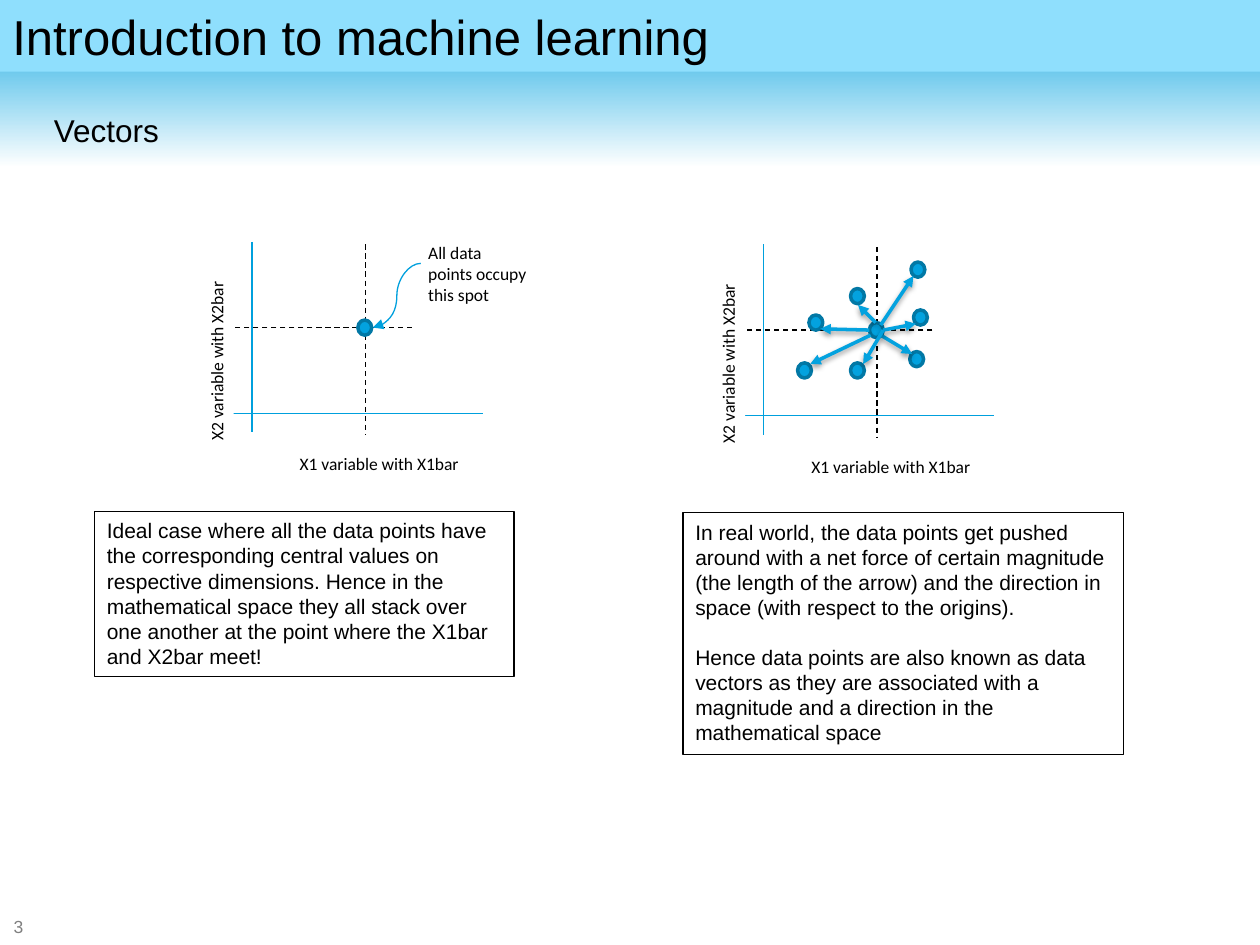
from lxml import etree
from pptx import Presentation
from pptx.dml.color import RGBColor
from pptx.enum.dml import MSO_LINE as Dash
from pptx.enum.shapes import MSO_CONNECTOR as Link, MSO_SHAPE as Shape
from pptx.enum.text import MSO_ANCHOR as Anchor, PP_ALIGN as Align
from pptx.oxml.ns import qn
from pptx.util import Inches, Pt

BLACK = RGBColor(0x00, 0x00, 0x00)
WHITE = RGBColor(0xFF, 0xFF, 0xFF)
GRAY = RGBColor(0x80, 0x80, 0x80)
SKY = RGBColor(0x8F, 0xDF, 0xFD)
BLUE = RGBColor(0x03, 0xA2, 0xDF)
AXIS = RGBColor(0x00, 0xA0, 0xDD)
NAVY = RGBColor(0x02, 0x78, 0xA5)

STEP = (4.06, 0.02)  # from the left plot to the right one
DOTS = [(7.22, 2.79), (7.23, 2.08), (7.25, 2.46), (6.75, 2.29),
        (6.42, 2.5), (6.75, 2.88), (6.33, 2.88)]
FORCES = [((6.99, 2.58), (7.25, 2.19)), ((6.99, 2.66), (7.24, 2.81)),
          ((7.01, 2.62), (7.27, 2.57)), ((6.95, 2.56), (6.81, 2.42)),
          ((6.9, 2.62), (6.51, 2.61)), ((6.91, 2.66), (6.43, 2.89)),
          ((7.01, 2.62), (6.85, 2.89))]
IDEAL = ("Ideal case where all the data points have the corresponding central "
         "values on respective dimensions. Hence in the mathematical space they "
         "all stack over one another at the point where the X1bar and X2bar meet!")
REAL = ("In real world, the data points get pushed around with a net force of "
        "certain magnitude (the length of the arrow) and the direction in space "
        "(with respect to the origins).")
NAMED = ("Hence data points are also known as data vectors as they are "
         "associated with a magnitude and a direction in the mathematical space")


def add_block(slide, kind, box, fill=None, line=None, width=0.75):
    block = slide.shapes.add_shape(kind, *map(Inches, box))
    block.shadow.inherit = False
    if fill is None:
        block.fill.background()
    else:
        block.fill.solid()
        block.fill.fore_color.rgb = fill
    if line is None:
        block.line.fill.background()
    else:
        block.line.color.rgb = line
        block.line.width = Pt(width)
    return block


def add_text(slide, box, *paras, size=12, font="Arial", color=BLACK, fill=None,
             line=None, turn=0, anchor=Anchor.TOP, gap=0):
    """Add a box with one paragraph per text, gap points apart."""
    if fill is None and line is None:
        block = slide.shapes.add_textbox(*map(Inches, box))
    else:
        block = add_block(slide, Shape.RECTANGLE, box, fill, line)
    block.rotation = turn
    frame = block.text_frame
    frame.word_wrap = True
    frame.vertical_anchor = anchor
    for i, text in enumerate(paras):
        para = frame.paragraphs[0] if i == 0 else frame.add_paragraph()
        para.alignment = Align.LEFT
        if i:
            para.space_before = Pt(gap)
        run = para.add_run()
        run.text = text
        run.font.size = Pt(size)
        run.font.name = font
        run.font.color.rgb = color
    return block


def add_line(slide, start, end, color=AXIS, width=0.75, dash=False,
             arrow=False, shadow=False, kind=Link.STRAIGHT):
    link = slide.shapes.add_connector(kind, *map(Inches, start + end))
    link.line.color.rgb = color
    link.line.width = Pt(width)
    if dash:
        link.line.dash_style = Dash.DASH
    props = link._element.spPr
    if arrow:
        etree.SubElement(props.find(qn("a:ln")), qn("a:tailEnd"), type="triangle")
    effects = etree.SubElement(props, qn("a:effectLst"))
    if shadow:
        cast = etree.SubElement(effects, qn("a:outerShdw"), blurRad=str(Pt(3.1)),
                                dist=str(Pt(1.6)), dir="5400000", rotWithShape="0")
        tint = etree.SubElement(cast, qn("a:srgbClr"), val=str(BLACK))
        etree.SubElement(tint, qn("a:alpha"), val="38000")


def add_dot(slide, x, y):
    add_block(slide, Shape.OVAL, (x, y, 0.11, 0.12), BLUE, NAVY, 2)


def add_plot(slide, dx=0, dy=0):
    """Draw axes, dashed mean lines, labels and the central point."""
    def at(x, y):
        return x + dx, y + dy

    add_line(slide, at(2, 1.92), at(2, 3.43))
    add_line(slide, at(1.85, 3.28), at(3.83, 3.28))
    add_line(slide, at(2.9, 1.94), at(2.9, 3.45), BLACK, dash=True)
    add_line(slide, at(3.34, 2.6), at(1.82, 2.6), BLACK, dash=True)
    label = dict(size=10, font="Calibri", fill=WHITE)
    add_text(slide, at(2.28, 3.55) + (1.61, 0.27), "X1 variable with X1bar", **label)
    add_text(slide, at(0.89, 2.63) + (1.66, 0.27), "X2 variable with X2bar",
             turn=270, **label)
    add_dot(slide, *at(2.84, 2.54))


def add_header(slide):
    band = add_block(slide, Shape.RECTANGLE, (0, 0, 10, 1.33))
    band.fill.gradient()
    band.fill.gradient_angle = 270
    for stop, color in zip(band.fill.gradient_stops, (BLUE, WHITE)):
        stop.color.rgb = color
    add_text(slide, (0.01, 7.27, 0.39, 0.16), "3", size=10, color=GRAY,
             anchor=Anchor.MIDDLE)
    add_text(slide, (0, 0, 10, 0.57), "Introduction to machine learning",
             size=28, fill=SKY)


def main():
    deck = Presentation()
    deck.slide_width, deck.slide_height = Inches(10), Inches(7.5)
    slide = deck.slides.add_slide(deck.slide_layouts[6])
    add_header(slide)

    add_plot(slide)
    add_text(slide, (3.3, 1.87, 0.98, 0.77), "All data points occupy this spot",
             size=10, font="Calibri", fill=WHITE)
    add_line(slide, (3.34, 2.09), (2.96, 2.6), arrow=True, kind=Link.CURVE)

    add_plot(slide, *STEP)
    for x, y in DOTS:
        add_dot(slide, x, y)
    for start, end in FORCES:
        add_line(slide, start, end, BLUE, 2, arrow=True, shadow=True)

    add_text(slide, (0.75, 4.06, 3.33, 1.31), IDEAL, line=BLACK)
    add_text(slide, (5.42, 4.07, 3.5, 1.92), REAL, NAMED, line=BLACK, gap=14)
    add_text(slide, (0.33, 0.83, 3.67, 0.42), "Vectors", size=18)
    deck.save("out.pptx")


if __name__ == "__main__":
    main()
